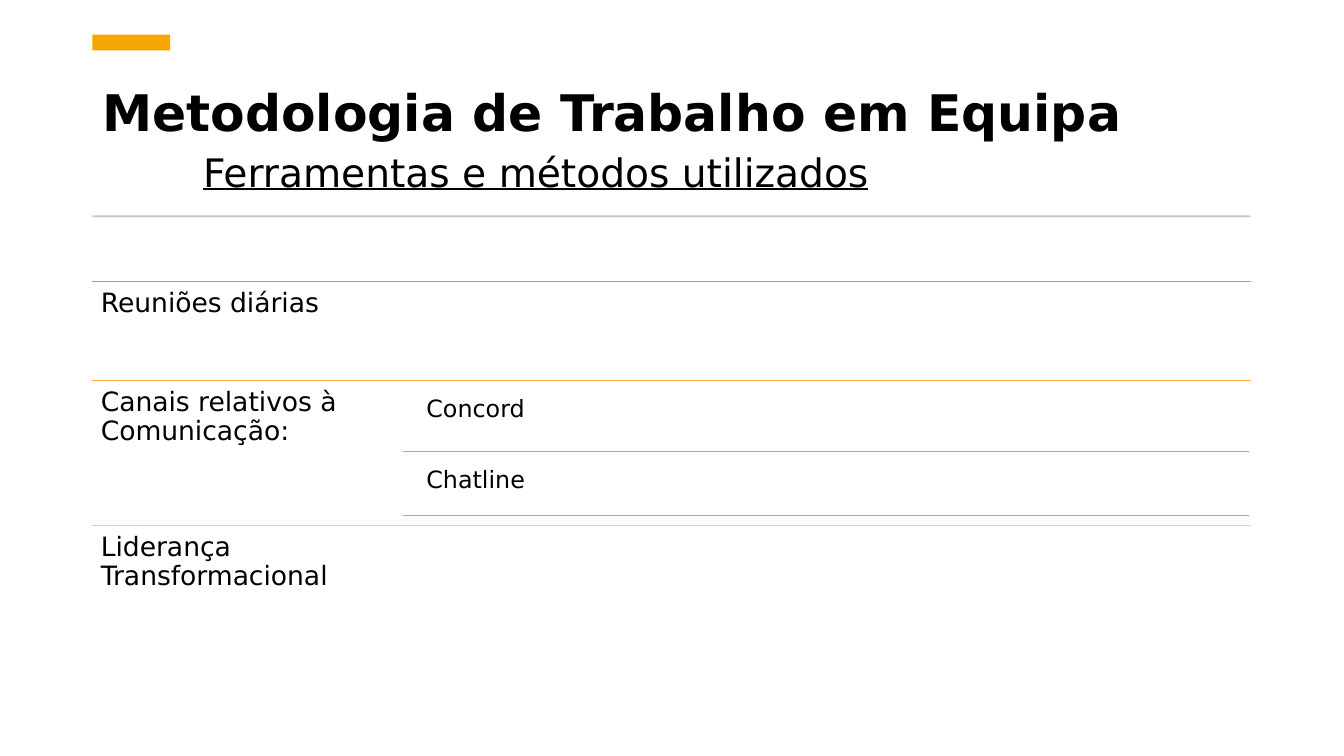
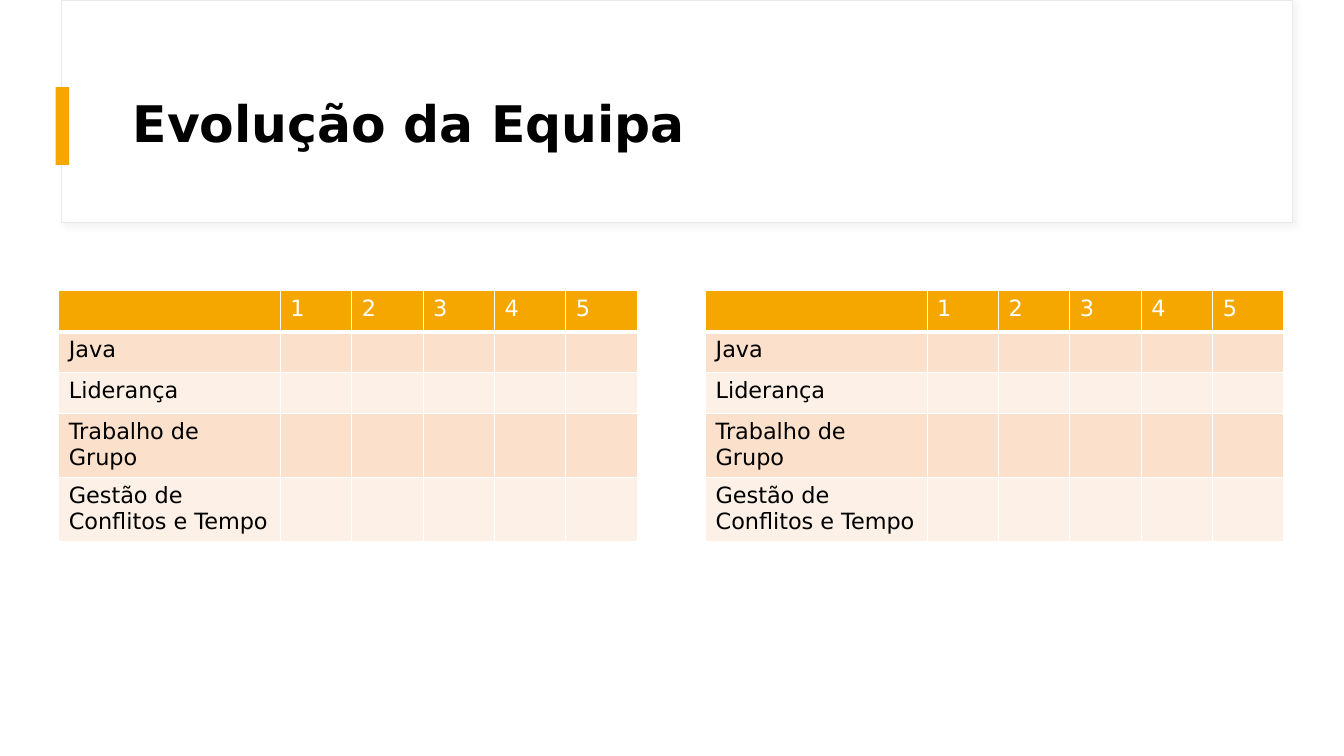
"""Build two slides on teamwork: tools and methods, then team progress tables."""
from dataclasses import dataclass

from lxml import etree
from pptx import Presentation
from pptx import util as u
from pptx.dml.color import RGBColor
from pptx.enum import shapes, text
from pptx.oxml import ns

PX = 9525
FONT = "DejaVu Sans"
BLACK = RGBColor(0x00, 0x00, 0x00)
WHITE = RGBColor(0xFF, 0xFF, 0xFF)
ORANGE = RGBColor(0xF5, 0xA7, 0x00)
DARK_ORANGE = RGBColor(0xDE, 0x98, 0x00)
LIGHT_ORANGE = RGBColor(0xF9, 0xAD, 0x3D)
PALE_ORANGE = RGBColor(0xF8, 0xC7, 0x95)
PEACH = RGBColor(0xFB, 0xE1, 0xCC)
CREAM = RGBColor(0xFD, 0xF1, 0xE7)
GREY = RGBColor(0xC9, 0xC9, 0xC9)
LIGHT_GREY = RGBColor(0xE9, 0xE9, 0xE9)
SHADOW_GREY = RGBColor(0xD9, 0xD9, 0xD9)

LEFT, RIGHT = 88, 1191
CHANNEL_LEFT, CHANNEL_RIGHT = 384, 1190
LABEL_WIDTH, COLUMN_WIDTH, ROW_HEIGHT = 211, 68, 39
SCORES = ["1", "2", "3", "4", "5"]
SKILLS = ["Java", "Liderança", "Trabalho de Grupo", "Gestão de Conflitos e Tempo"]


@dataclass(frozen=True)
class Box:
    left: int
    top: int
    width: int
    height: int

    def emu(self) -> tuple[int, int, int, int]:
        """Return the box as EMU lengths."""
        return self.left * PX, self.top * PX, self.width * PX, self.height * PX


@dataclass(frozen=True)
class Topic:
    label: str
    box: Box
    colour: RGBColor


@dataclass(frozen=True)
class Channel:
    label: str
    box: Box


TOPICS = [
    Topic("Reuniões diárias", Box(LEFT, 268, 351, 94), DARK_ORANGE),
    Topic("Canais relativos à Comunicação:", Box(LEFT, 362, 296, 134), LIGHT_ORANGE),
    Topic("Liderança Transformacional", Box(LEFT, 500, 342, 112), PALE_ORANGE),
]
CHANNELS = [
    Channel("Concord", Box(399, 371, 791, 59)),
    Channel("Chatline", Box(399, 439, 791, 52)),
]


def write(para, words: str, *, size: int, colour: RGBColor = BLACK, bold: bool = False,
          underline: bool = False, spacing: float = 0.9) -> None:
    """Add formatted words to a paragraph."""
    para.line_spacing = spacing
    span = para.add_run()
    span.text = words
    span.font.name = FONT
    span.font.size = u.Pt(size)
    span.font.bold = bold
    span.font.underline = underline
    span.font.color.rgb = colour


def add_text(page, box: Box, words: str, *, size: int, bold: bool = False,
             inset: int | None = None, anchor=text.MSO_ANCHOR.TOP):
    """Add a wrapping text box and return its frame."""
    frame = page.shapes.add_textbox(*box.emu()).text_frame
    frame.word_wrap = True
    frame.vertical_anchor = anchor
    if inset is not None:
        frame.margin_left = frame.margin_right = inset * PX
        frame.margin_top = frame.margin_bottom = inset * PX
    write(frame.paragraphs[0], words, size=size, bold=bold)
    return frame


def add_title(page, box: Box, words: str, anchor):
    """Add a title in the shared style."""
    return add_text(page, box, words, size=36, bold=True, anchor=anchor)


def add_bar(page, box: Box, fill: RGBColor, line: RGBColor | None = None):
    """Add a flat rectangle."""
    bar = page.shapes.add_shape(shapes.MSO_SHAPE.RECTANGLE, *box.emu())
    bar.shadow.inherit = False
    bar.fill.solid()
    bar.fill.fore_color.rgb = fill
    if line is None:
        bar.line.fill.background()
    else:
        bar.line.color.rgb = line
        bar.line.width = u.Pt(0.75)
    return bar


def add_divider(page, left: int, right: int, top: int, colour: RGBColor) -> None:
    """Add a thin horizontal line."""
    divider = page.shapes.add_connector(
        shapes.MSO_CONNECTOR.STRAIGHT, left * PX, top * PX, right * PX, top * PX)
    divider.line.color.rgb = colour
    divider.line.width = u.Pt(0.5)
    etree.SubElement(divider._element.spPr, ns.qn("a:effectLst"))


def add_colour(parent, colour: RGBColor):
    """Append an RGB colour element."""
    return etree.SubElement(parent, ns.qn("a:srgbClr"), val=str(colour))


def add_shadow(shape) -> None:
    """Give a shape a soft shadow to the lower right."""
    effects = shape._element.spPr.find(ns.qn("a:effectLst"))
    shadow = etree.SubElement(effects, ns.qn("a:outerShdw"), blurRad=str(u.Pt(4)),
                              dist=str(u.Pt(3)), dir="2700000", algn="tl", rotWithShape="0")
    etree.SubElement(add_colour(shadow, SHADOW_GREY), ns.qn("a:alpha"), val="30000")


def style_cell(cell, fill: RGBColor, bottom: int) -> None:
    """Set white borders and a solid fill on a cell."""
    properties = cell._tc.get_or_add_tcPr()
    for side, width in (("L", 1), ("R", 1), ("T", 1), ("B", bottom)):
        border = etree.SubElement(properties, ns.qn(f"a:ln{side}"), w=str(u.Pt(width)))
        add_colour(etree.SubElement(border, ns.qn("a:solidFill")), WHITE)
    cell.fill.solid()
    cell.fill.fore_color.rgb = fill


def add_scores(page, left: int, top: int) -> None:
    """Add a table that rates each skill from 1 to 5."""
    rows = [["", *SCORES]] + [[skill] + [""] * len(SCORES) for skill in SKILLS]
    box = Box(left, top, LABEL_WIDTH + COLUMN_WIDTH * len(SCORES), ROW_HEIGHT * len(rows))
    table = page.shapes.add_table(len(rows), len(rows[0]), *box.emu()).table
    table.first_row = table.horz_banding = False
    for index, column in enumerate(table.columns):
        column.width = (COLUMN_WIDTH if index else LABEL_WIDTH) * PX
    for row, labels in enumerate(rows):
        fill = (PEACH if row % 2 else CREAM) if row else ORANGE
        for column, label in enumerate(labels):
            cell = table.cell(row, column)
            style_cell(cell, fill, 1 if row else 3)
            if label:
                write(cell.text_frame.paragraphs[0], label, size=16,
                      colour=BLACK if row else WHITE, spacing=1.0)


def build_methods(page) -> None:
    """Draw the slide on tools and methods."""
    frame = add_title(page, Box(LEFT, 72, RIGHT - LEFT, 119),
                      "Metodologia de Trabalho em Equipa", text.MSO_ANCHOR.BOTTOM)
    subtitle = frame.add_paragraph()
    subtitle.space_before = u.Pt(8)
    subtitle._p.get_or_add_pPr().set("marL", str(u.Inches(1)))
    write(subtitle, "Ferramentas e métodos utilizados", size=28, underline=True)
    add_bar(page, Box(LEFT, 33, 74, 15), ORANGE)
    add_bar(page, Box(LEFT, 205, RIGHT - LEFT, 2), GREY)
    for topic in TOPICS:
        add_divider(page, LEFT, RIGHT, topic.box.top, topic.colour)
        add_text(page, topic.box, topic.label, size=19, inset=8)
    for channel in CHANNELS:
        add_text(page, channel.box, channel.label, size=17, inset=7)
        bottom = channel.box.top + channel.box.height
        add_divider(page, CHANNEL_LEFT, CHANNEL_RIGHT, bottom, ORANGE)


def build_progress(page) -> None:
    """Draw the slide with the two score tables."""
    add_shadow(add_bar(page, Box(59, 0, 1172, 212), WHITE, LIGHT_GREY))
    add_bar(page, Box(53, 83, 13, 74), ORANGE)
    add_title(page, Box(117, 58, 1068, 124), "Evolução da Equipa", text.MSO_ANCHOR.MIDDLE)
    for left in (56, 672):
        add_scores(page, left, 277)


def main() -> None:
    """Build and save the deck."""
    deck = Presentation()
    deck.slide_width, deck.slide_height = 1280 * PX, 720 * PX
    for build in (build_methods, build_progress):
        build(deck.slides.add_slide(deck.slide_layouts[6]))
    deck.save("out.pptx")


if __name__ == "__main__":
    main()
